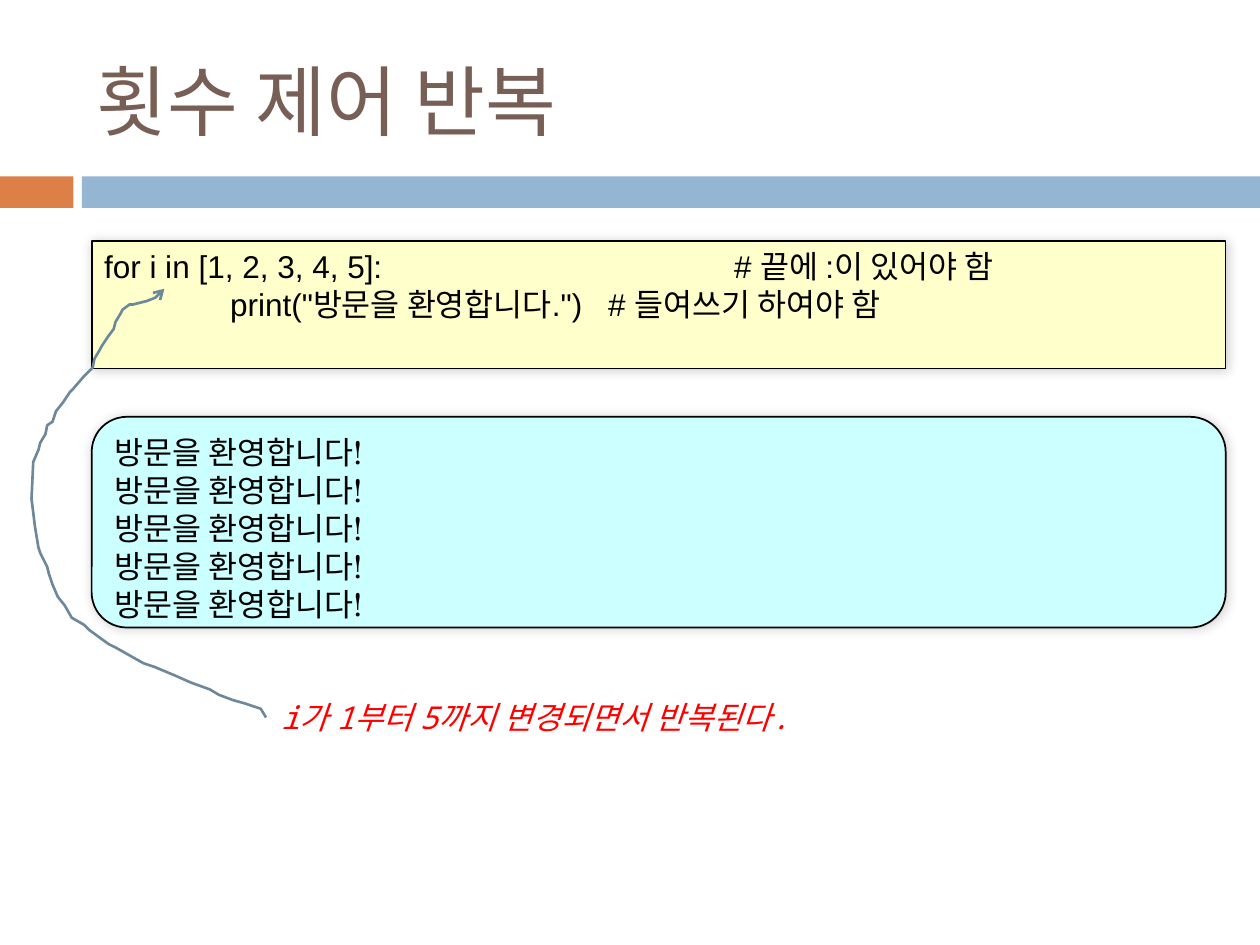
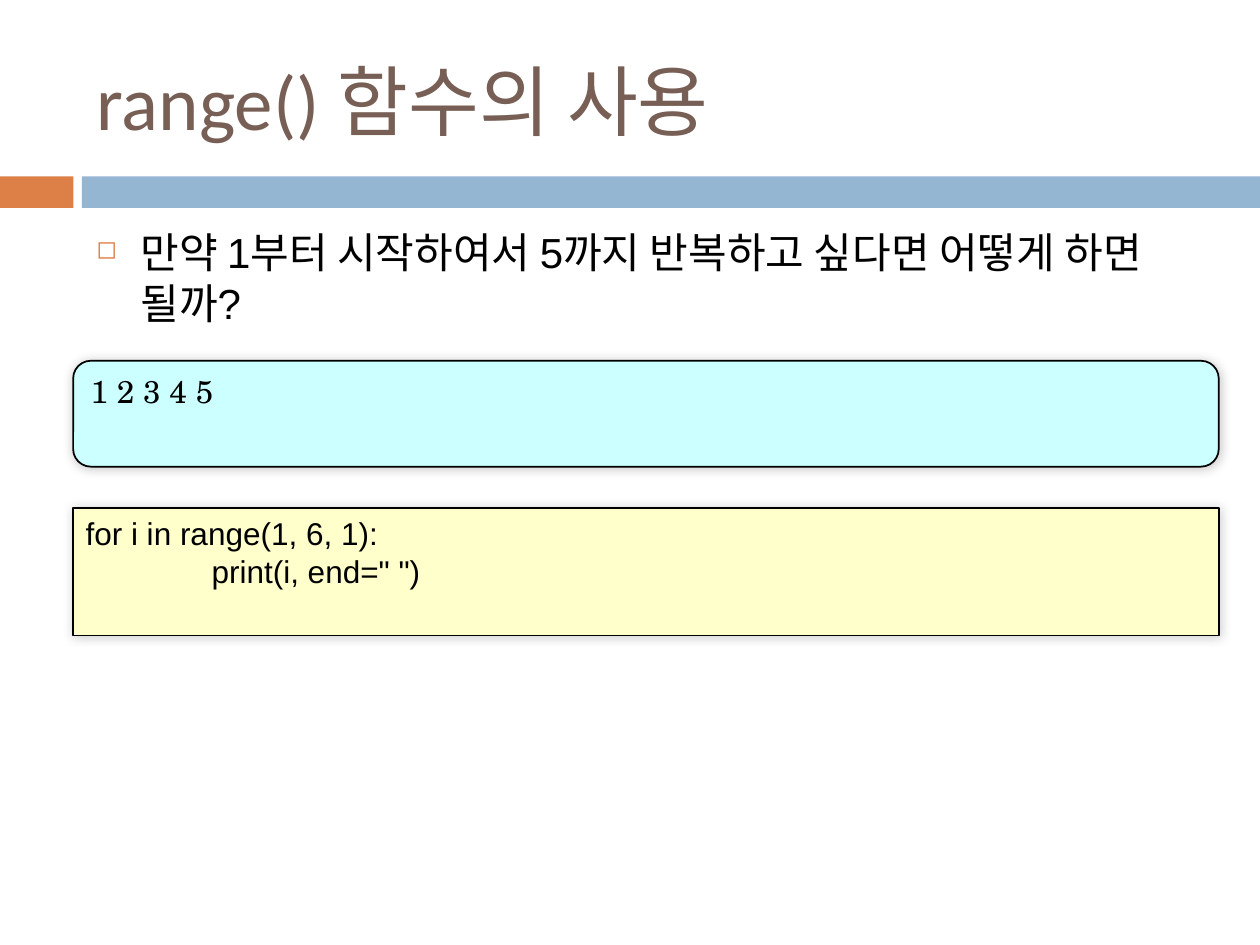
import dataclasses

import lxml.etree
import pptx
import pptx.dml.color
import pptx.enum.shapes
import pptx.enum.text
import pptx.oxml
import pptx.oxml.ns
import pptx.util

Pt = pptx.util.Pt
RGB = pptx.dml.color.RGBColor.from_string
SHAPES = pptx.enum.shapes.MSO_SHAPE
qn = pptx.oxml.ns.qn


@dataclasses.dataclass(frozen=True)
class Theme:
    accent: str = "DD8047"
    band: str = "94B6D2"
    title: str = "775F55"
    ink: str = "000000"
    code_fill: str = "FFFFCC"
    output_fill: str = "CCFFFF"
    note: str = "FF0000"
    arrow: str = "6D879B"
    title_font: str = "Calibri"
    body_font: str = "Arial"
    output_font: str = "TeX Gyre Schola"
    note_font: str = "Noto Sans Mono"
    title_size: int = 44
    body_size: int = 24
    code_size: int = 18


THEME = Theme()
TITLE_BOX = (48, 18, 642, 78)
BAND_BOX = (0, 100.8, 720, 18)

# Hand-drawn curve from the note up to the loop variable, within its box
ARROW_POINTS = [
    (134, 245), (131, 240), (122, 237), (115, 235), (107, 232), (102, 229),
    (91, 225), (82, 221), (70, 216), (64, 214), (48, 205), (44, 203),
    (33, 195), (30, 192), (23, 188), (19, 181), (15, 176), (12, 169),
    (10, 163), (9, 159), (5, 151), (4, 148), (2, 136), (1, 128), (0, 120),
    (1, 99), (4, 92), (5, 88), (8, 83), (9, 78), (12, 76), (14, 70),
    (18, 65), (22, 59), (24, 57), (30, 50), (35, 45), (36, 40), (39, 35),
    (40, 33), (44, 27), (47, 23), (48, 19), (51, 14), (52, 12), (56, 9),
    (58, 9), (66, 7), (71, 5), (72, 3), (76, 0),
]


def points(box):
    return [Pt(length) for length in box]


def add_child(parent, tag, **attributes):
    return lxml.etree.SubElement(parent, qn(tag), attributes)


def write(frame, lines, font, size, color, italic=False):
    """Fill a text frame with left-aligned lines in one style."""
    frame.word_wrap = True
    frame.auto_size = pptx.enum.text.MSO_AUTO_SIZE.NONE
    for number, line in enumerate(lines):
        paragraph = frame.add_paragraph() if number else frame.paragraphs[0]
        paragraph.text = line
        paragraph.alignment = pptx.enum.text.PP_ALIGN.LEFT
        paragraph.font.name = font
        paragraph.font.size = Pt(size)
        paragraph.font.color.rgb = RGB(color)
        paragraph.font.italic = italic
        paragraph._p.get_or_add_pPr().set("defTabSz", str(Pt(72)))


def add_plain_shape(slide, kind, box, fill):
    shape = slide.shapes.add_shape(kind, *points(box))
    shape.shadow.inherit = False
    shape.fill.solid()
    shape.fill.fore_color.rgb = RGB(fill)
    shape.line.fill.background()
    return shape


def add_band(slide, box):
    left, top, width, height = box
    marker, gap = 42, 4.8
    add_plain_shape(slide, SHAPES.RECTANGLE, (left, top, marker, height), THEME.accent)
    start = marker + gap
    add_plain_shape(slide, SHAPES.RECTANGLE,
                    (left + start, top, width - start, height), THEME.band)


def add_titled_slide(deck, title):
    slide = deck.slides.add_slide(deck.slide_layouts.get_by_name("Title Only"))
    add_band(slide, BAND_BOX)
    heading = slide.shapes.title
    heading.left, heading.top, heading.width, heading.height = points(TITLE_BOX)
    heading.text_frame.vertical_anchor = pptx.enum.text.MSO_ANCHOR.MIDDLE
    write(heading.text_frame, [title], THEME.title_font, THEME.title_size, THEME.title)
    return slide


def add_panel(slide, kind, box, fill, font, lines):
    """Outlined panel with a soft shadow."""
    panel = add_plain_shape(slide, kind, box, fill)
    panel.line.color.rgb = RGB(THEME.ink)
    panel.line.width = Pt(1)
    effects = panel._element.spPr.find(qn("a:effectLst"))
    shadow = add_child(effects, "a:outerShdw", blurRad=str(Pt(6)), dist="0",
                       dir=str(315 * 60000), algn="ctr", rotWithShape="0")
    add_child(add_child(shadow, "a:srgbClr", val=THEME.ink), "a:alpha", val="20000")
    panel.text_frame.vertical_anchor = pptx.enum.text.MSO_ANCHOR.TOP
    write(panel.text_frame, lines, font, THEME.code_size, THEME.ink)


def add_code(slide, box, lines):
    add_panel(slide, SHAPES.RECTANGLE, box, THEME.code_fill, THEME.body_font, lines)


def add_output(slide, box, lines):
    add_panel(slide, SHAPES.FLOWCHART_ALTERNATE_PROCESS, box, THEME.output_fill,
              THEME.output_font, lines)


def add_note(slide, box, text):
    note = slide.shapes.add_textbox(*points(box))
    write(note.text_frame, [text], THEME.note_font, THEME.code_size, THEME.note, italic=True)


def add_curved_arrow(slide, box):
    left, top = points(box[:2])
    builder = slide.shapes.build_freeform(*ARROW_POINTS[0], scale=Pt(1))
    builder.add_line_segments(ARROW_POINTS[1:], close=False)
    curve = builder.convert_to_shape(left, top)
    curve.shadow.inherit = False
    curve.fill.background()
    curve.line.color.rgb = RGB(THEME.arrow)
    curve.line.width = Pt(1.5)
    outline = curve._element.spPr.find(qn("a:ln"))
    add_child(outline, "a:round")
    add_child(outline, "a:tailEnd", type="arrow")


def add_question(slide, box, text):
    question = slide.shapes.add_textbox(*points(box))
    write(question.text_frame, [text], THEME.body_font, THEME.body_size, THEME.ink)
    paragraph = question.text_frame.paragraphs[0]
    paragraph.space_before = Pt(7)
    # Hollow square bullet with a hanging indent
    properties = paragraph._p.get_or_add_pPr()
    properties.set("marL", str(Pt(25.2)))
    properties.set("indent", str(-Pt(25.2)))
    run_defaults = properties.find(qn("a:defRPr"))
    color = add_child(properties, "a:buClr")
    add_child(color, "a:srgbClr", val=THEME.accent)
    size = add_child(properties, "a:buSzPct", val="60000")
    mark = add_child(properties, "a:buChar", char="◻")
    for part in (color, size, mark):
        run_defaults.addprevious(part)


def build_counted_loop(deck):
    slide = add_titled_slide(deck, "횟수 제어 반복")
    add_code(slide, (52.4, 137.6, 648, 73), [
        "for i in [1, 2, 3, 4, 5]: \t\t\t# 끝에 :이 있어야 함",
        "\tprint(\"방문을 환영합니다.\") \t# 들여쓰기 하여야 함",
    ])
    add_output(slide, (52.4, 238.2, 648, 120.4), ["방문을 환영합니다!"] * 5)
    add_note(slide, (153.4, 395.3, 330, 29), "i가 1부터 5까지 변경되면서 반복된다.")
    add_curved_arrow(slide, (18, 165, 134, 245))


def build_range_function(deck):
    slide = add_titled_slide(deck, "range() 함수의 사용")
    add_question(slide, (48, 126, 642, 354),
                 "만약 1부터 시작하여서 5까지 반복하고 싶다면 어떻게 하면 될까?")
    add_output(slide, (41.8, 206.2, 654.6, 60.5), ["1 2 3 4 5"])
    add_code(slide, (41.8, 290.2, 654.6, 73), [
        "for i in range(1, 6, 1):",
        "\tprint(i, end=\" \")",
    ])


def main():
    deck = pptx.Presentation()
    deck.slide_width, deck.slide_height = Pt(720), Pt(540)
    build_counted_loop(deck)
    build_range_function(deck)
    deck.save("out.pptx")


if __name__ == "__main__":
    main()
